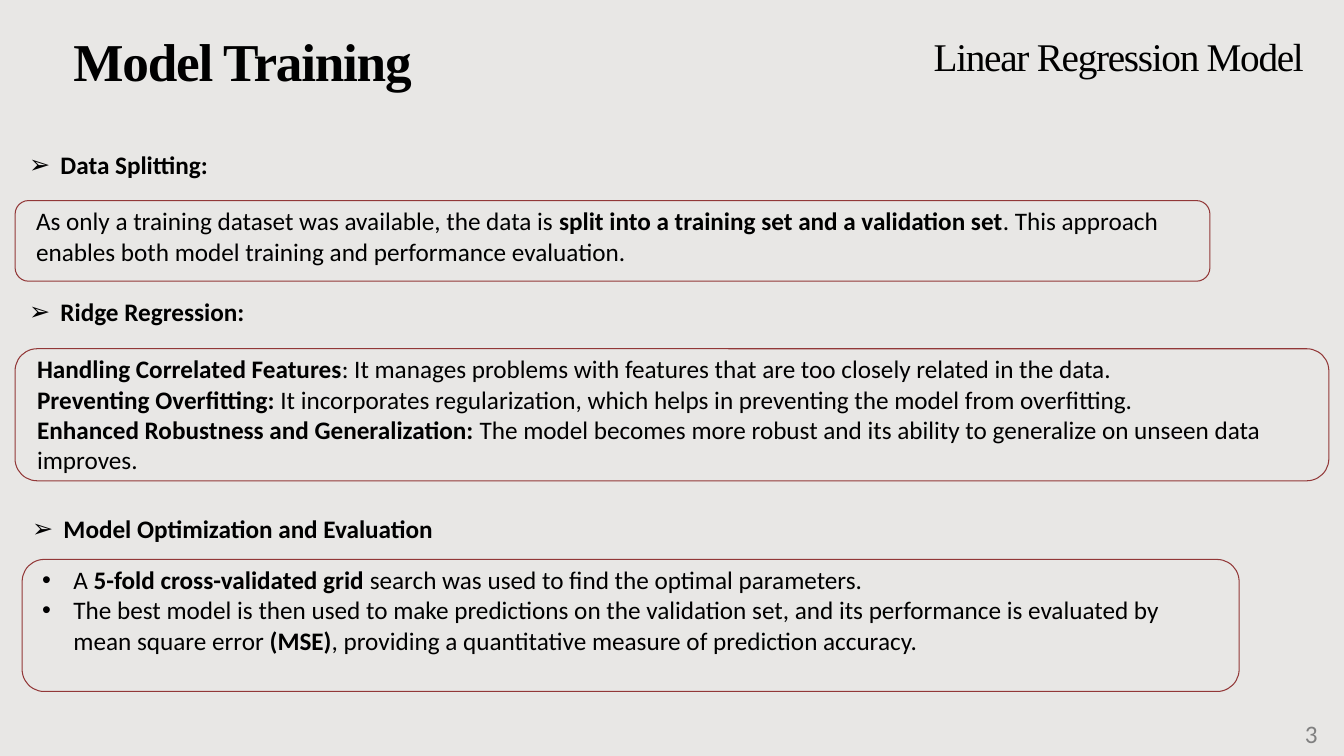
import pptx
import pptx.util
import pptx.dml.color
import pptx.enum.shapes
import pptx.enum.text
import pptx.oxml.ns
from lxml import etree

Inches, Pt = pptx.util.Inches, pptx.util.Pt
ALIGN = pptx.enum.text.PP_ALIGN
ANCHOR = pptx.enum.text.MSO_ANCHOR

# Content: boxes are left, top, width, height in inches; ** marks bold
BACKGROUND, BORDER, BLACK, GREY = "E8E7E5", "923838", "000000", "808080"
INDENT = 0.31
TITLES = [
    ("**Model Training**", (0.11, 0.18, 4.59, 0.51), 38),
    ("Linear Regression Model", (9, 0.05, 4.19, 0.75), 28),
]
SECTIONS = [
    {"heading": "Data Splitting:", "heading_box": (0.29, 1.53, 4.23, 0.26),
     "align": ALIGN.JUSTIFY, "bullet": None,
     "frame": (0.15, 1.99, 11.85, 0.8), "body_box": (0.26, 1.99, 11.34, 0.71),
     "body": ["As only a training dataset was available, the data is "
              "**split into a training set and a validation set**. This approach "
              "enables both model training and performance evaluation."]},
    {"heading": "Ridge Regression:", "heading_box": (0.29, 2.99, 4.23, 0.26),
     "align": ALIGN.JUSTIFY, "bullet": None,
     "frame": (0.15, 3.46, 13.03, 1.31), "body_box": (0.27, 3.46, 12.47, 1.31),
     "body": ["**Handling Correlated Features**: It manages problems with features "
              "that are too closely related in the data.",
              "**Preventing Overfitting: **It incorporates regularization, which "
              "helps in preventing the model from overfitting.",
              "**Enhanced Robustness and Generalization: **The model becomes more "
              "robust and its ability to generalize on unseen data improves."]},
    {"heading": "Model Optimization and Evaluation",
     "heading_box": (0.32, 5.14, 5.94, 0.26),
     "align": ALIGN.LEFT, "bullet": "•",
     "frame": (0.22, 5.55, 12.07, 1.31), "body_box": (0.32, 5.55, 11.78, 1.01),
     "body": ["A **5-fold cross-validated grid** search was used to find the "
              "optimal parameters.",
              "The best model is then used to make predictions on the validation "
              "set, and its performance is evaluated by mean square error **(MSE)**, "
              "providing a quantitative measure of prediction accuracy."]},
]
PAGE_NUMBER, PAGE_BOX = "3", (12.67, 7.06, 0.67, 0.44)


def color(value):
    return pptx.dml.color.RGBColor.from_string(value)


def add_bullet(p, char):
    pPr = p._p.get_or_add_pPr()
    pPr.set("marL", str(Inches(INDENT)))
    pPr.set("indent", str(-Inches(INDENT)))
    font = etree.SubElement(pPr, pptx.oxml.ns.qn("a:buFont"))
    font.set("typeface", "Arial" if char == "•" else "Wingdings")
    if char != "•":
        font.set("typeface", "Calibri")
    etree.SubElement(pPr, pptx.oxml.ns.qn("a:buChar")).set("char", char)


def add_text(s, box, paragraphs, size=18, font="Calibri", fill=BLACK,
             align=ALIGN.LEFT, line=None, bullet=None, inset=True, spacing=None):
    tf = s.shapes.add_textbox(*map(Inches, box)).text_frame
    tf.word_wrap = True
    if not inset:
        tf.margin_left = tf.margin_top = tf.margin_right = tf.margin_bottom = 0
    for i, text in enumerate(paragraphs):
        p = tf.add_paragraph() if i else tf.paragraphs[0]
        p.alignment = align
        if line:
            p.line_spacing = Pt(line)
        if bullet:
            add_bullet(p, bullet)
        for j, part in enumerate(text.split("**")):
            if not part:
                continue
            r = p.add_run()
            r.text = part
            r.font.size, r.font.name = Pt(size), font
            r.font.bold = j % 2 == 1
            r.font.color.rgb = color(fill)
            if spacing:
                r._r.get_or_add_rPr().set("spc", str(round(spacing * 100)))
    return tf


def add_frame(s, box):
    sp = s.shapes.add_shape(pptx.enum.shapes.MSO_SHAPE.ROUNDED_RECTANGLE,
                            *map(Inches, box))
    sp.shadow.inherit = False
    sp.fill.background()
    sp.line.color.rgb = color(BORDER)
    sp.line.width = Pt(0.75)


def main():
    prs = pptx.Presentation()
    prs.slide_width, prs.slide_height = Inches(13.33), Inches(7.5)
    s = prs.slides.add_slide(prs.slide_layouts[6])
    s.background.fill.solid()
    s.background.fill.fore_color.rgb = color(BACKGROUND)

    # Titles
    for text, box, size in TITLES:
        add_text(s, box, [text], size, "Times New Roman", align=ALIGN.CENTER,
                 line=53.2, inset=False, spacing=-0.9)

    # Sections: heading, frame and body
    for sec in SECTIONS:
        add_text(s, sec["heading_box"], [f"**{sec['heading']}**"],
                 align=sec["align"], line=18.2, bullet="➢", inset=False)
        add_frame(s, sec["frame"])
        add_text(s, sec["body_box"], sec["body"], bullet=sec["bullet"])

    # Page number
    tf = add_text(s, PAGE_BOX, [PAGE_NUMBER], fill=GREY, align=ALIGN.CENTER)
    tf.vertical_anchor = ANCHOR.MIDDLE

    prs.save("out.pptx")


if __name__ == "__main__":
    main()
